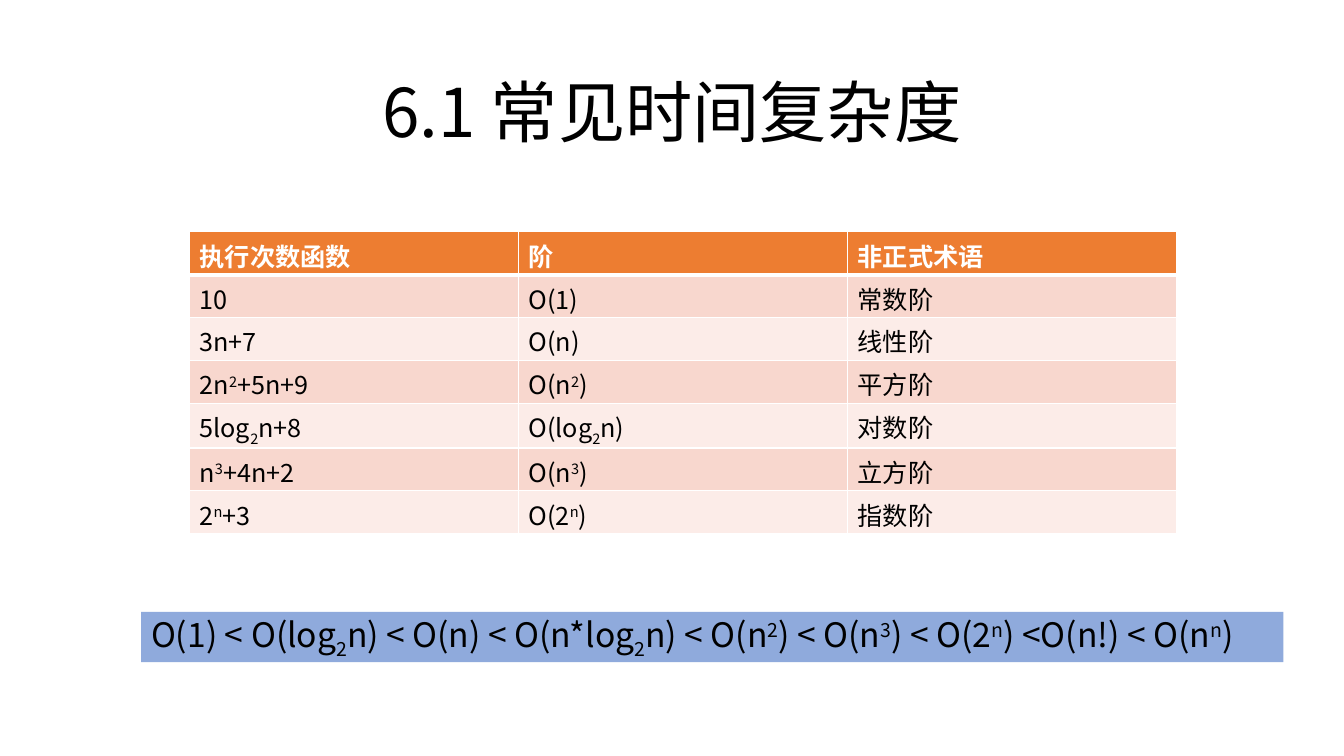
from lxml import etree
from pptx import Presentation
from pptx.dml.color import RGBColor
from pptx.enum.shapes import MSO_SHAPE
from pptx.enum.text import MSO_ANCHOR, PP_ALIGN
from pptx.oxml.ns import qn
from pptx.util import Inches, Pt

RECT = MSO_SHAPE.RECTANGLE
MIDDLE = MSO_ANCHOR.MIDDLE
LEFT, CENTER = PP_ALIGN.LEFT, PP_ALIGN.CENTER
FONT = "Noto Sans CJK SC"
COLORS = {"text": "000000", "white": "FFFFFF", "header": "ED7D31",
          "odd": "F8D7CE", "even": "FCECE8", "bar": "8FAADC"}
BASELINES = {"^": "30000", "_": "-25000"}


def write(p, text, size, color="text", bold=False):
    """Write pieces split by |; ^ marks a superscript and _ a subscript."""
    for piece in text.split("|"):
        baseline = BASELINES.get(piece[0])
        r = p.add_run()
        r.text = piece[1:] if baseline else piece
        r.font.size = Pt(size)
        r.font.bold = bold
        r.font.name = FONT
        r.font.color.rgb = RGBColor.from_string(COLORS[color])
        rPr = r.font._element
        etree.SubElement(rPr, qn("a:ea")).set("typeface", FONT)
        if baseline:
            rPr.set("baseline", baseline)


def add_border(cell, side, width):
    """Add a white border; call before the fill is set."""
    tcPr = cell._tc.get_or_add_tcPr()
    ln = etree.SubElement(tcPr, qn("a:" + side), w=str(Pt(width)))
    fill = etree.SubElement(ln, qn("a:solidFill"))
    etree.SubElement(fill, qn("a:srgbClr"), val=COLORS["white"])


prs = Presentation()
prs.slide_width, prs.slide_height = Inches(13.33), Inches(7.5)
s = prs.slides.add_slide(prs.slide_layouts[6])

# Title
title = s.shapes.add_textbox(Inches(1), Inches(0.64), Inches(11.33), Inches(0.91))
tf = title.text_frame
tf.word_wrap = True
tf.vertical_anchor = MIDDLE
tf.paragraphs[0].alignment = CENTER
write(tf.paragraphs[0], "6.1 常见时间复杂度", 48)

# Table of complexities
rows = [
    ("执行次数函数", "阶", "非正式术语"),
    ("10", "O(1)", "常数阶"),
    ("3n+7", "O(n)", "线性阶"),
    ("2n|^2|+5n+9", "O(n|^2|)", "平方阶"),
    ("5log|_2|n+8", "O(log|_2|n)", "对数阶"),
    ("n|^3|+4n+2", "O(n|^3|)", "立方阶"),
    ("2|^n|+3", "O(2|^n|)", "指数阶"),
]
table = s.shapes.add_table(len(rows), 3, Inches(1.88), Inches(2.3),
                           Inches(9.79), Inches(2.98)).table
for i, row in enumerate(rows):
    header = i == 0
    shade = "header" if header else "odd" if i % 2 else "even"
    for j, text in enumerate(row):
        cell = table.cell(i, j)
        for side in ("lnL", "lnR", "lnT", "lnB"):
            thick = (header and side == "lnB") or (i == 1 and side == "lnT")
            add_border(cell, side, 3 if thick else 1)
        cell.fill.solid()
        cell.fill.fore_color.rgb = RGBColor.from_string(COLORS[shade])
        write(cell.text_frame.paragraphs[0], text, 18,
              "white" if header else "text", header)

# Ordering bar
bar = s.shapes.add_shape(RECT, Inches(1.4), Inches(6.07), Inches(11.33), Inches(0.5))
bar.shadow.inherit = False
bar.fill.solid()
bar.fill.fore_color.rgb = RGBColor.from_string(COLORS["bar"])
bar.line.fill.background()
tf = bar.text_frame
tf.word_wrap = True
tf.vertical_anchor = MIDDLE
tf.paragraphs[0].alignment = LEFT
write(tf.paragraphs[0],
      "O(1) < O(log|_2|n) < O(n) < O(n*log|_2|n) < O(n|^2|) < O(n|^3|)"
      " < O(2|^n|) <O(n!) < O(n|^n|)", 24)

prs.save("out.pptx")
